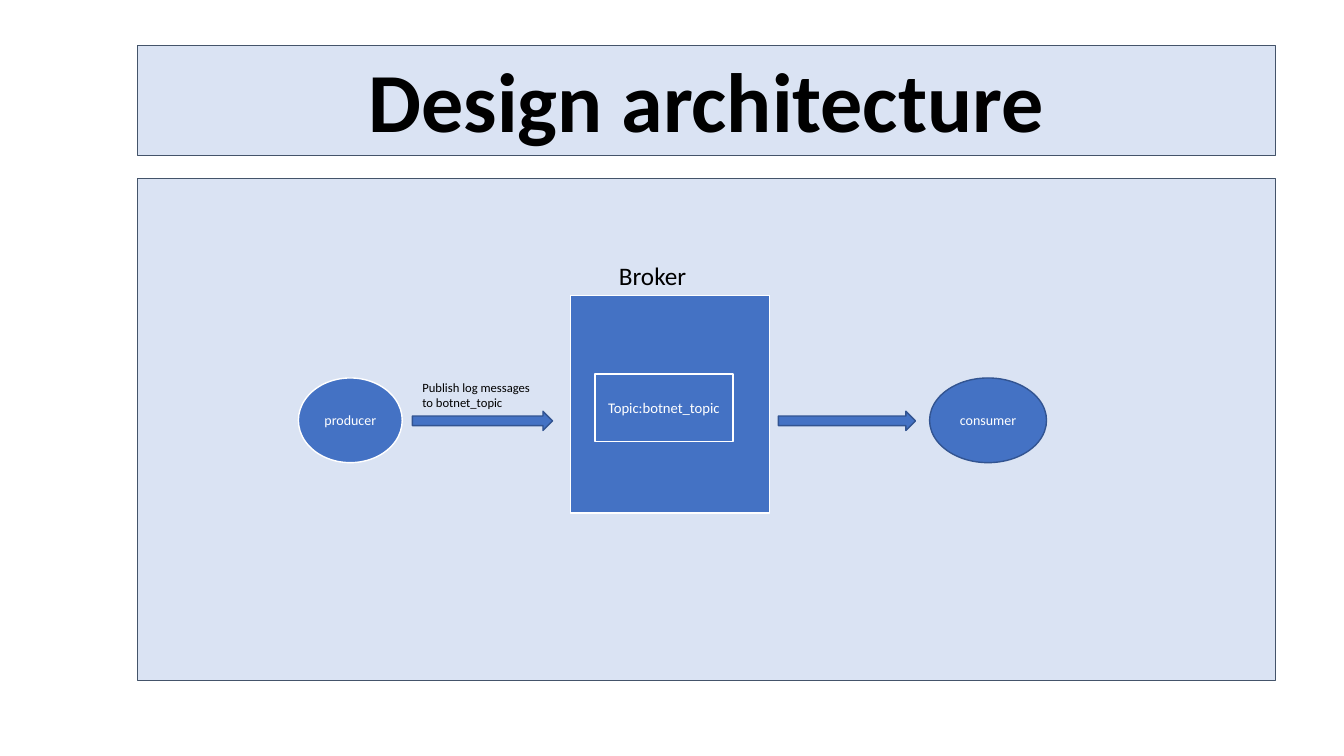
from pptx import Presentation
from pptx.dml.color import RGBColor
from pptx.enum.shapes import MSO_SHAPE
from pptx.enum.text import MSO_ANCHOR, MSO_AUTO_SIZE, PP_ALIGN
from pptx.util import Inches, Pt

RECT = MSO_SHAPE.RECTANGLE
OVAL = MSO_SHAPE.OVAL
ARROW = MSO_SHAPE.RIGHT_ARROW
MIDDLE, BOTTOM, TOP = MSO_ANCHOR.MIDDLE, MSO_ANCHOR.BOTTOM, MSO_ANCHOR.TOP
CENTER, LEFT = PP_ALIGN.CENTER, PP_ALIGN.LEFT
FIXED = MSO_AUTO_SIZE.NONE

COLORS = {
    "pale": "DAE3F3",
    "slate": "44546A",
    "blue": "4472C4",
    "navy": "325491",
    "white": "FFFFFF",
    "black": "000000",
}


class Board:
    def __init__(self, deck, font):
        self.slide = deck.slides.add_slide(deck.slide_layouts[5])
        self.font = font

    def color(self, name):
        return RGBColor.from_string(COLORS[name])

    def paint(self, shape, fill, line, width):
        shape.fill.solid()
        shape.fill.fore_color.rgb = self.color(fill)
        shape.line.color.rgb = self.color(line)
        shape.line.width = Pt(width)

    def letter(self, shape, text, size, color, align, anchor, bold=False, wrap=True):
        frame = shape.text_frame
        frame.auto_size = FIXED
        frame.word_wrap = wrap
        frame.vertical_anchor = anchor
        para = frame.paragraphs[0]
        para.alignment = align
        run = para.add_run()
        run.text = text
        run.font.name = self.font
        run.font.size = Pt(size)
        run.font.bold = bold
        run.font.color.rgb = self.color(color)
        return para

    def title(self, text, left, top, width, height):
        shape = self.slide.shapes.title
        shape.left, shape.top = Inches(left), Inches(top)
        shape.width, shape.height = Inches(width), Inches(height)
        self.paint(shape, "pale", "slate", 0.75)
        para = self.letter(shape, text, 60, "black", CENTER, BOTTOM, bold=True)
        para.line_spacing = 0.9

    def shape(self, kind, left, top, width, height,
              fill="blue", line="navy", weight=1, text="", size=10):
        shape = self.slide.shapes.add_shape(
            kind, Inches(left), Inches(top), Inches(width), Inches(height))
        shape.shadow.inherit = False
        self.paint(shape, fill, line, weight)
        if text:
            self.letter(shape, text, size, "white", CENTER, MIDDLE)

    def label(self, text, left, top, width, height, size, wrap=True):
        box = self.slide.shapes.add_textbox(
            Inches(left), Inches(top), Inches(width), Inches(height))
        self.letter(box, text, size, "black", LEFT, TOP, wrap=wrap)


deck = Presentation()
deck.slide_width, deck.slide_height = Inches(13.33), Inches(7.5)
board = Board(deck, "Calibri")

board.title("Design architecture", 1.36, 0.45, 11.29, 1.09)
board.shape(RECT, 1.36, 1.77, 11.29, 4.98, "pale", "slate", 0.75)

board.shape(OVAL, 2.96, 3.75, 1.03, 0.84, line="white", text="producer")
board.shape(RECT, 5.66, 2.93, 1.97, 2.16, line="white")
for left, width in ((4.09, 1.39), (7.72, 1.36)):
    board.shape(ARROW, left, 4.08, width, 0.19)
board.shape(OVAL, 9.22, 3.75, 1.16, 0.84, text="consumer")

board.label("Broker", 6.04, 2.53, 0.88, 0.4, 18, wrap=False)
board.shape(RECT, 5.9, 3.71, 1.37, 0.67, line="white",
            text="Topic:botnet_topic", size=10.5)
board.label("Publish log messages to botnet_topic", 4.09, 3.72, 1.39, 0.4, 9)

deck.save("out.pptx")
